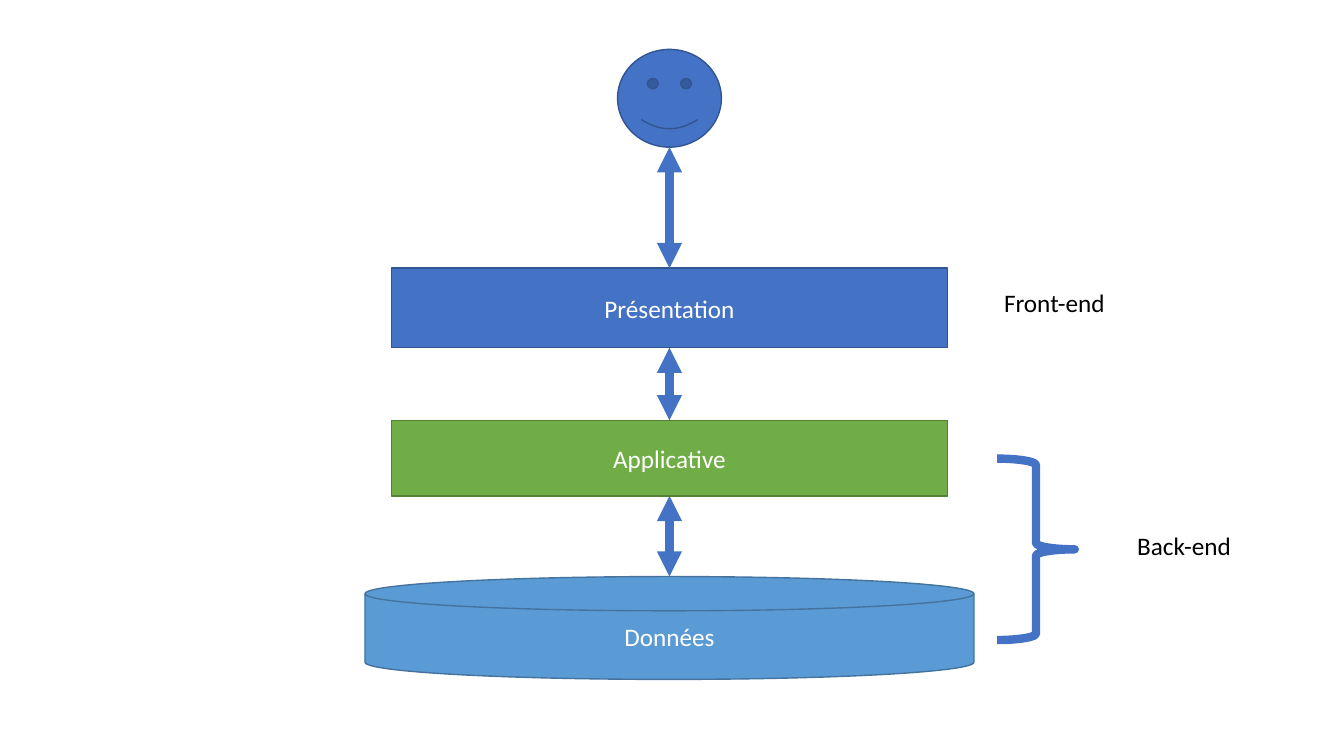
from dataclasses import dataclass
from itertools import pairwise

from lxml.etree import SubElement
from pptx import Presentation
from pptx.dml.color import RGBColor
from pptx.enum.shapes import MSO_CONNECTOR, MSO_SHAPE as Preset
from pptx.enum.text import MSO_ANCHOR, MSO_AUTO_SIZE, PP_ALIGN
from pptx.oxml.ns import qn
from pptx.shapes.autoshape import Shape
from pptx.slide import Slide
from pptx.text.text import TextFrame
from pptx.util import Inches, Pt

COLORS = {
    "blue": "4472C4", "blue_edge": "325491",
    "green": "70AD47", "green_edge": "538035",
    "sky": "5B9BD5", "sky_edge": "43739E",
    "white": "FFFFFF", "black": "000000",
}
FONT = "Calibri"
CENTER_X = 6.64
THICK = 6


@dataclass
class Layer:
    """One level of the architecture, centred on the vertical axis."""
    preset: Preset
    top: float
    width: float
    height: float
    color: str
    text: str = ""


@dataclass
class Label:
    text: str
    left: float
    top: float
    width: float


LAYERS = [
    Layer(Preset.SMILEY_FACE, 0.49, 1.03, 0.97, "blue"),
    Layer(Preset.RECTANGLE, 2.66, 5.52, 0.79, "blue", "Présentation"),
    Layer(Preset.RECTANGLE, 4.17, 5.52, 0.75, "green", "Applicative"),
    Layer(Preset.FLOWCHART_MAGNETIC_DISK, 5.72, 6.04, 1.02, "sky", "Données"),
]
LABELS = [
    Label("Front-end", 9.86, 2.8, 1.22),
    Label("Back-end", 11.18, 5.21, 1.15),
]


def rgb(name: str) -> RGBColor:
    return RGBColor.from_string(COLORS[name])


def write(frame: TextFrame, text: str, color: str, align: PP_ALIGN) -> None:
    para = frame.paragraphs[0]
    para.text = text
    para.alignment = align
    para.font.name = FONT
    para.font.size = Pt(18)
    para.font.color.rgb = rgb(color)


def add_preset(slide: Slide, preset: Preset, left: float, top: float,
               width: float, height: float, line: str, weight: float) -> Shape:
    shape = slide.shapes.add_shape(
        preset, Inches(left), Inches(top), Inches(width), Inches(height))
    shape.shadow.inherit = False
    shape.line.color.rgb = rgb(line)
    shape.line.width = Pt(weight)
    return shape


def add_layer(slide: Slide, layer: Layer) -> None:
    shape = add_preset(slide, layer.preset, CENTER_X - layer.width / 2, layer.top,
                       layer.width, layer.height, f"{layer.color}_edge", 1)
    shape.fill.solid()
    shape.fill.fore_color.rgb = rgb(layer.color)
    if layer.text:
        shape.text_frame.vertical_anchor = MSO_ANCHOR.MIDDLE
        write(shape.text_frame, layer.text, "white", PP_ALIGN.CENTER)


def add_double_arrow(slide: Slide, top: float, bottom: float) -> None:
    x = Inches(CENTER_X)
    arrow = slide.shapes.add_connector(
        MSO_CONNECTOR.STRAIGHT, x, Inches(top), x, Inches(bottom))
    arrow.line.color.rgb = rgb("blue")
    arrow.line.width = Pt(THICK)
    properties = arrow.element.spPr
    for end in ("a:headEnd", "a:tailEnd"):
        SubElement(properties.find(qn("a:ln")), qn(end), type="triangle")
    SubElement(properties, qn("a:effectLst"))


def add_label(slide: Slide, label: Label) -> None:
    box = slide.shapes.add_textbox(
        Inches(label.left), Inches(label.top), Inches(label.width), Inches(0.4))
    box.text_frame.word_wrap = False
    box.text_frame.auto_size = MSO_AUTO_SIZE.SHAPE_TO_FIT_TEXT
    write(box.text_frame, label.text, "black", PP_ALIGN.LEFT)


def main() -> None:
    deck = Presentation()
    deck.slide_width, deck.slide_height = Inches(13.33), Inches(7.5)
    slide = deck.slides.add_slide(deck.slide_layouts.get_by_name("Blank"))

    for layer in LAYERS:
        add_layer(slide, layer)
    for upper, lower in pairwise(LAYERS):
        add_double_arrow(slide, upper.top + upper.height, lower.top)
    for label in LABELS:
        add_label(slide, label)
    brace = add_preset(slide, Preset.RIGHT_BRACE, 9.89, 4.55, 0.77, 1.8, "blue", THICK)
    brace.fill.background()

    deck.save("out.pptx")


if __name__ == "__main__":
    main()
